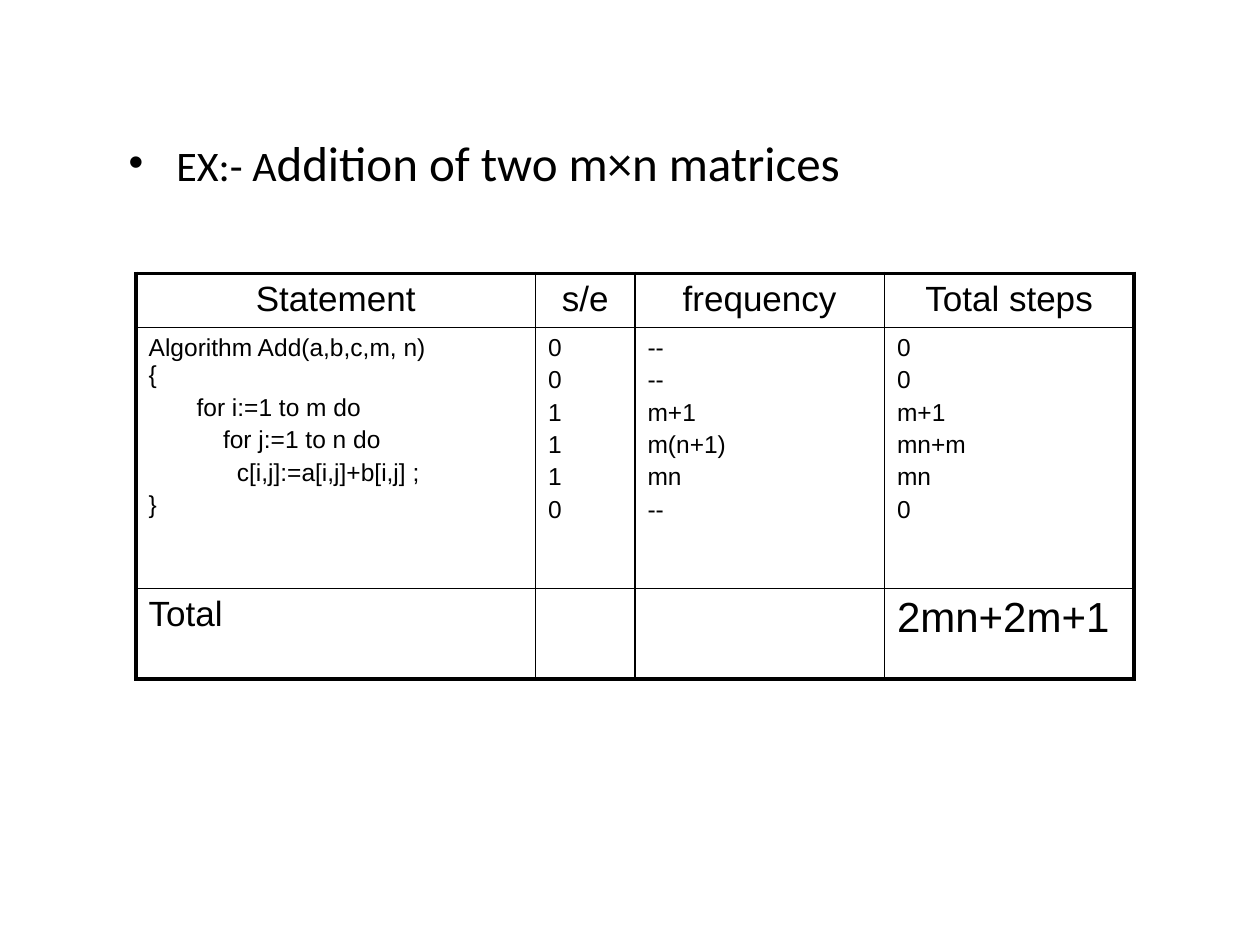
from copy import deepcopy

from lxml.etree import SubElement
from pptx import Presentation
from pptx.dml.color import RGBColor
from pptx.enum.text import MSO_ANCHOR, MSO_AUTO_SIZE, PP_ALIGN
from pptx.oxml.ns import qn
from pptx.util import Inches, Pt

BLACK = "000000"
COLUMN_WIDTHS = [3.17, 0.79, 1.98, 1.98]
ROW_HEIGHTS = [0.43, 2.07, 0.72]
CODE = ["Algorithm Add(a,b,c,m, n)\v{", "for i:=1 to m do", "for j:=1 to n do",
        "c[i,j]:=a[i,j]+b[i,j] ;", "}"]
CODE_INDENTS = [0, 0.38, 0.59, 0.7, 0]
STEPS = [
    ["0", "0", "1", "1", "1", "0"],
    ["--", "--", "m+1", "m(n+1)", "mn", "--"],
    ["0", "0", "m+1", "mn+m", "mn", "0"],
]


def color(value):
    """Turn a hex string into a colour."""
    return RGBColor.from_string(value)


def apply_format(target, values):
    """Set every attribute named in a dict of format values."""
    for name, value in values.items():
        setattr(target, name, value)


def style_span(span, size, font):
    """Give a run its size, font and colour."""
    apply_format(span.font, {"size": Pt(size), "name": font, "bold": False})
    span.font.color.rgb = color(BLACK)


def set_indent(para, left, first=0):
    """Set the left margin and first-line indent of a paragraph."""
    properties = para._p.get_or_add_pPr()
    properties.set("marL", str(Inches(left)))
    properties.set("indent", str(Inches(first)))
    return properties


def add_heading(page):
    """Place the bulleted heading in the title placeholder."""
    box = page.shapes.title
    apply_format(box, {"left": Inches(0.92), "top": Inches(1),
                       "width": Inches(6.67), "height": Inches(0.95)})
    apply_format(box.text_frame, {"word_wrap": True, "auto_size": MSO_AUTO_SIZE.NONE,
                                  "vertical_anchor": MSO_ANCHOR.TOP})
    para = box.text_frame.paragraphs[0]
    para.alignment = PP_ALIGN.LEFT
    properties = set_indent(para, 0.38, -0.38)
    SubElement(properties, qn("a:buFont")).set("typeface", "Arial")
    SubElement(properties, qn("a:buChar")).set("char", "•")
    for text, size in [("EX:- A", 24), ("ddition of two m×n matrices", 28)]:
        span = para.add_run()
        span.text = text
        style_span(span, size, "Calibri")


def set_borders(cell, widths):
    """Draw the cell borders from a dict of side and width in points."""
    properties = cell._tc.get_or_add_tcPr()
    for side, width in widths.items():
        line = SubElement(properties, qn(f"a:ln{side}"), w=str(Pt(width)))
        fill = SubElement(line, qn("a:solidFill"))
        SubElement(fill, qn("a:srgbClr")).set("val", BLACK)


def fill_cell(cell, lines, size, align=PP_ALIGN.LEFT, indents=None):
    """Write one paragraph per line into a cell."""
    frame = cell.text_frame
    for index, text in enumerate(lines):
        para = frame.add_paragraph() if index else frame.paragraphs[0]
        para.text = text
        apply_format(para, {"alignment": align, "space_before": Pt(size * 0.2)})
        if indents:
            set_indent(para, indents[index])
        for span in para.runs:
            style_span(span, size, "Arial")
        for line_break in para._p.findall(qn("a:br")):
            line_break.append(deepcopy(para.runs[0]._r.rPr))


def add_step_table(page):
    """Add the table of step counts, with a heavy outer frame."""
    last_row, last_column = len(ROW_HEIGHTS) - 1, len(COLUMN_WIDTHS) - 1
    table = page.shapes.add_table(
        last_row + 1, last_column + 1, Inches(1.08), Inches(2.17),
        Inches(sum(COLUMN_WIDTHS)), Inches(sum(ROW_HEIGHTS))).table
    apply_format(table, {"first_row": False, "horz_banding": False})
    for column, width in zip(table.columns, COLUMN_WIDTHS):
        column.width = Inches(width)
    for row_index, height in enumerate(ROW_HEIGHTS):
        table.rows[row_index].height = Inches(height)
        for column_index in range(last_column + 1):
            cell = table.cell(row_index, column_index)
            outer = {"L": column_index == 0, "R": column_index == last_column,
                     "T": row_index == 0, "B": row_index == last_row}
            set_borders(cell, {side: 2.25 if edge else 1 for side, edge in outer.items()})
            cell.fill.background()

    for index, text in enumerate(["Statement", "s/e", "frequency", "Total steps"]):
        fill_cell(table.cell(0, index), [text], 20, PP_ALIGN.CENTER)
    fill_cell(table.cell(1, 0), CODE, 14, indents=CODE_INDENTS)
    for index, lines in enumerate(STEPS, start=1):
        fill_cell(table.cell(1, index), lines, 14)
    fill_cell(table.cell(last_row, 0), ["Total"], 20)
    fill_cell(table.cell(last_row, last_column), ["2mn+2m+1"], 24)


def main():
    """Build the slide and save it."""
    deck = Presentation()
    apply_format(deck, {"slide_width": Inches(10), "slide_height": Inches(7.5)})
    page = deck.slides.add_slide(deck.slide_layouts[5])
    add_heading(page)
    add_step_table(page)
    deck.save("out.pptx")


main()
